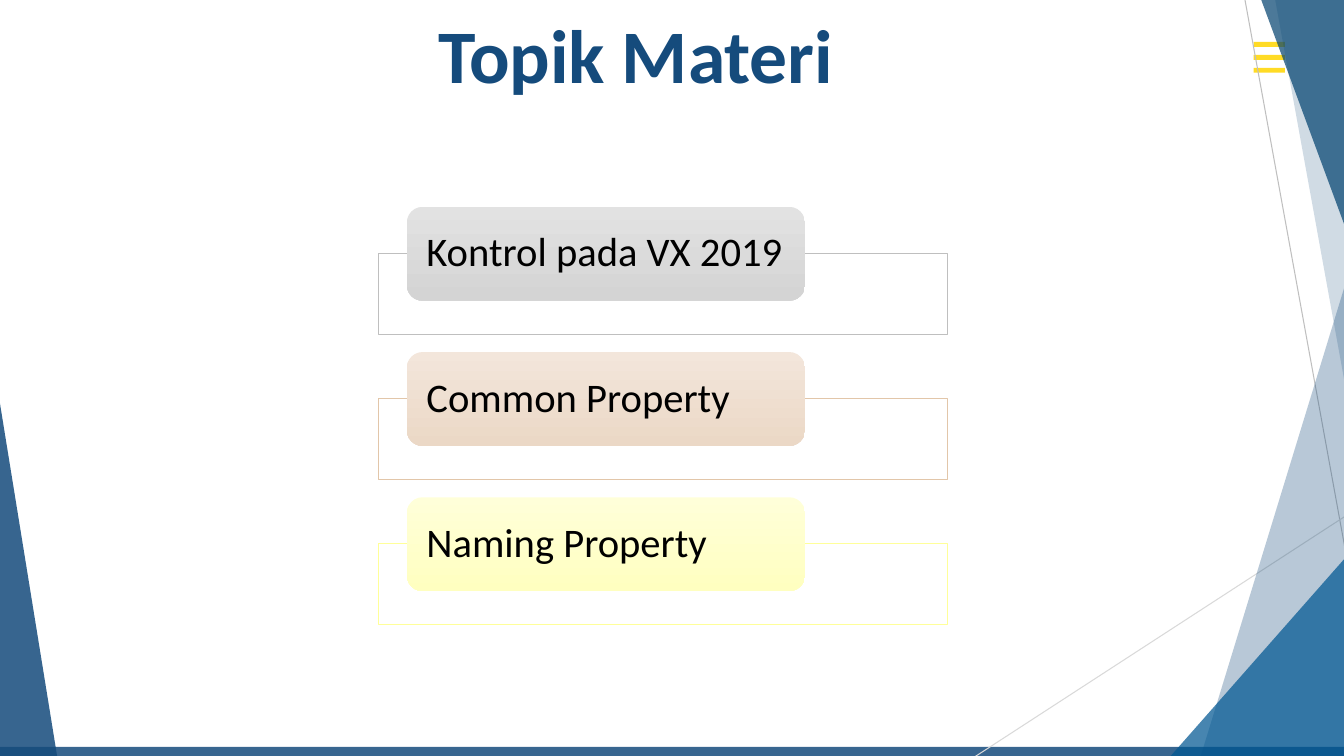
from dataclasses import dataclass

from pptx import Presentation
from pptx.dml.color import RGBColor
from pptx.enum.shapes import MSO_CONNECTOR, MSO_SHAPE
from pptx.enum.text import MSO_ANCHOR as Anchor, MSO_AUTO_SIZE as AutoSize, PP_ALIGN as Align
from pptx.oxml.ns import qn
from pptx.util import Pt
from lxml.etree import SubElement


@dataclass(frozen=True)
class Theme:
    font: str = "Calibri"
    title_size: int = 54
    topic_size: int = 29
    navy: str = "154B7C"
    deep_blue: str = "00416E"
    blue: str = "005792"
    bar: str = "386690"
    menu: str = "FFDB25"
    white: str = "FFFFFF"
    black: str = "000000"
    steep_line: str = "BFBFBF"
    flat_line: str = "D9D9D9"
    gray: tuple = ("BFBFBF", "E2E2E2", "D4D4D4")
    beige: tuple = ("E2C6A9", "F3E6DB", "EBD8C6")
    yellow: tuple = ("FFFF99", "FFFFD9", "FFFFC0")


theme = Theme()
rgb = RGBColor.from_string


def paint(shape, color, opacity=100):
    shape.shadow.inherit = False
    shape.fill.solid()
    shape.fill.fore_color.rgb = rgb(color)
    shape.line.fill.background()
    if opacity < 100:
        color_element = shape.element.spPr.find(qn("a:solidFill"))[0]
        SubElement(color_element, qn("a:alpha"), val=str(opacity * 1000))


def add_block(kind, left, top, width, height, color, opacity=100):
    shape = slide.shapes.add_shape(kind, Pt(left), Pt(top), Pt(width), Pt(height))
    paint(shape, color, opacity)
    return shape


presentation = Presentation()
presentation.slide_width = Pt(960)
presentation.slide_height = Pt(540)
slide = presentation.slides.add_slide(presentation.slide_layouts[5])

add_block(MSO_SHAPE.RECTANGLE, 0, 533.5, 960, 18, theme.bar)
for row in range(3):
    add_block(MSO_SHAPE.RECTANGLE, 895.5, 30 + 9.25 * row, 22.25, 3.5, theme.menu)

for start_x, start_y, end_x, end_y, color in (
    (874.8, -79.5, 988.3, 543, theme.steep_line),
    (1137.6, 254, 692.6, 543, theme.flat_line),
):
    connector = slide.shapes.add_connector(
        MSO_CONNECTOR.STRAIGHT, Pt(start_x), Pt(start_y), Pt(end_x), Pt(end_y)
    )
    connector.line.color.rgb = rgb(color)
    connector.line.width = Pt(0.75)
    SubElement(connector.element.spPr, qn("a:effectLst"))

band_top, band_bottom, band_right = -79.7, 543, 1138
for index, (top_x, bottom_x, color, opacity) in enumerate((
    (1047.6, 856.8, theme.navy, 30),
    (896.4, 1009.5, theme.navy, 20),
    (871.5, 1101.6, theme.deep_blue, 70),
)):
    if index == 2:
        wedge = add_block(MSO_SHAPE.ISOSCELES_TRIANGLE, 833.6, 197.5, 304.4, 345.5, theme.blue, 72)
        wedge.adjustments[0] = 1
    builder = slide.shapes.build_freeform(Pt(top_x), Pt(band_top))
    builder.add_line_segments(
        [
            (Pt(band_right), Pt(band_top)),
            (Pt(band_right), Pt(band_bottom)),
            (Pt(bottom_x), Pt(band_bottom)),
        ],
        close=True,
    )
    paint(builder.convert_to_shape(), color, opacity)

left_wedge = add_block(MSO_SHAPE.ISOSCELES_TRIANGLE, -0.7, 284, 41.8, 258, theme.navy, 85)
left_wedge.adjustments[0] = 0

topics = (
    ("Kontrol pada VX 2019", theme.gray),
    ("Common Property", theme.beige),
    ("Naming Property", theme.yellow),
)
for index, (topic, (outline, light, dark)) in enumerate(topics):
    top = 147.8 + 103.7 * index
    frame = add_block(MSO_SHAPE.RECTANGLE, 270, top + 33.2, 406.8, 57.6, theme.white)
    frame.line.color.rgb = rgb(outline)
    frame.line.width = Pt(0.5)

    tab = add_block(MSO_SHAPE.ROUNDED_RECTANGLE, 290.6, top, 284.4, 67, light)
    tab.fill.gradient()
    tab.fill.gradient_angle = 270
    for stop, color in zip(tab.fill.gradient_stops, (light, dark)):
        stop.color.rgb = rgb(color)

    text_frame = tab.text_frame
    text_frame.word_wrap = True
    text_frame.vertical_anchor = Anchor.MIDDLE
    text_frame.margin_left = Pt(10.7)
    text_frame.margin_right = Pt(4)
    text_frame.margin_top = text_frame.margin_bottom = 0
    text_frame.text = topic
    paragraph = text_frame.paragraphs[0]
    paragraph.alignment = Align.LEFT
    paragraph.line_spacing = 0.9
    paragraph.font.name = theme.font
    paragraph.font.size = Pt(theme.topic_size)
    paragraph.font.color.rgb = rgb(theme.black)

title = slide.shapes.title
title.left, title.top, title.width, title.height = Pt(304.5), Pt(2), Pt(299.5), Pt(73)
title.text_frame.text = "Topik Materi"
title.text_frame.word_wrap = False
title.text_frame.auto_size = AutoSize.SHAPE_TO_FIT_TEXT
title.text_frame.vertical_anchor = Anchor.TOP
paragraph = title.text_frame.paragraphs[0]
paragraph.alignment = Align.CENTER
paragraph.font.name = theme.font
paragraph.font.size = Pt(theme.title_size)
paragraph.font.bold = True
paragraph.font.color.rgb = rgb(theme.navy)

presentation.save("out.pptx")
